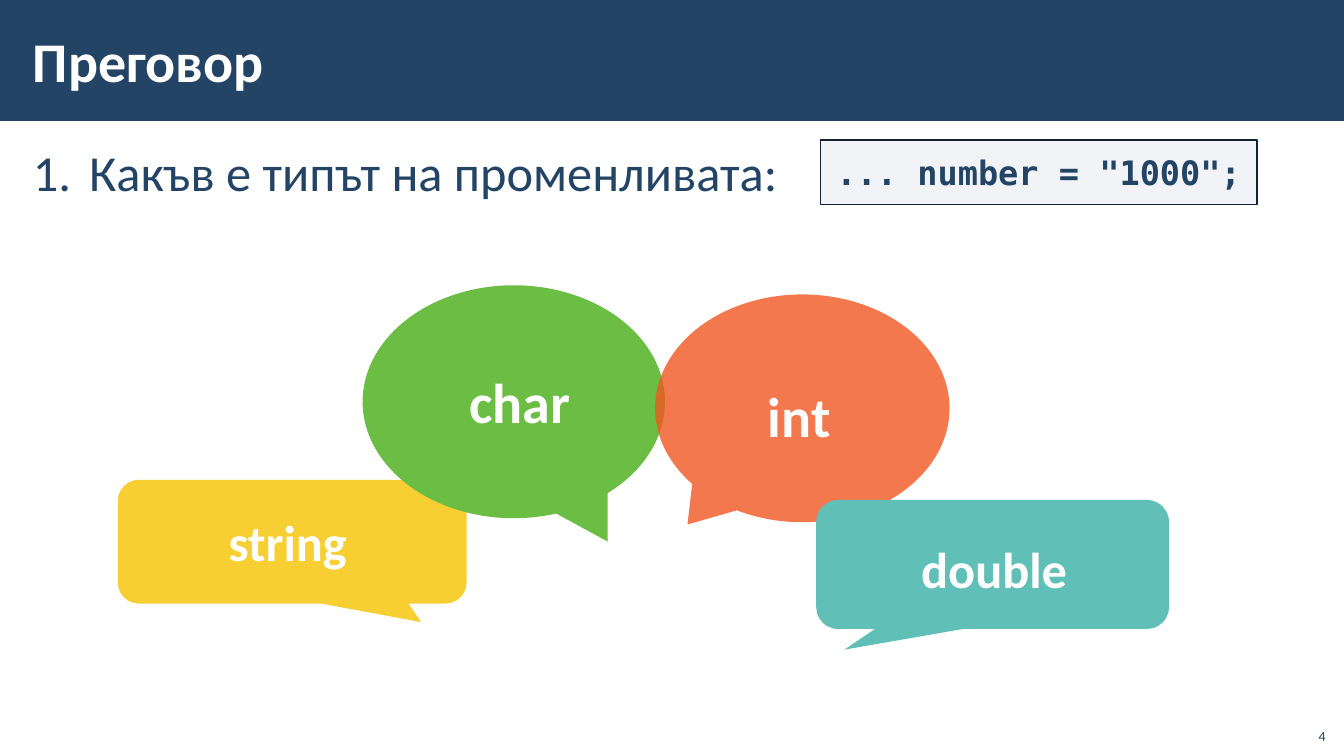
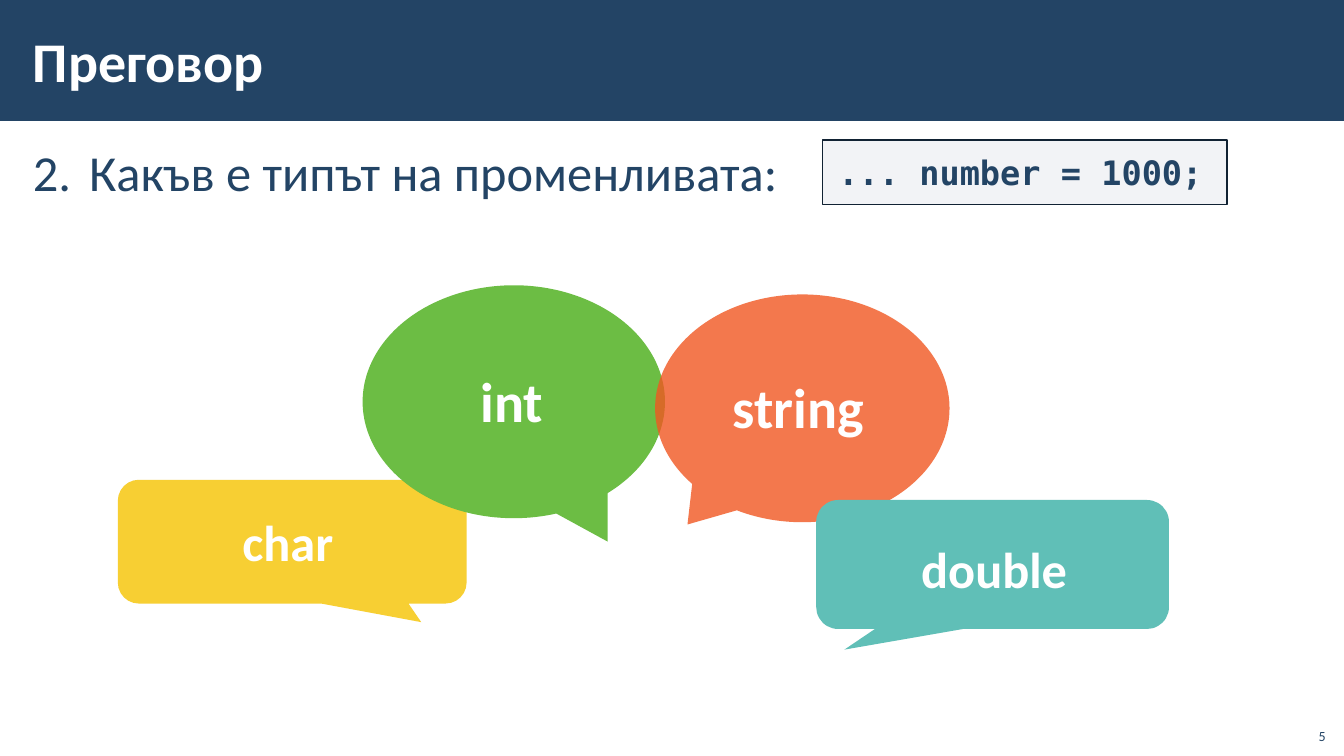
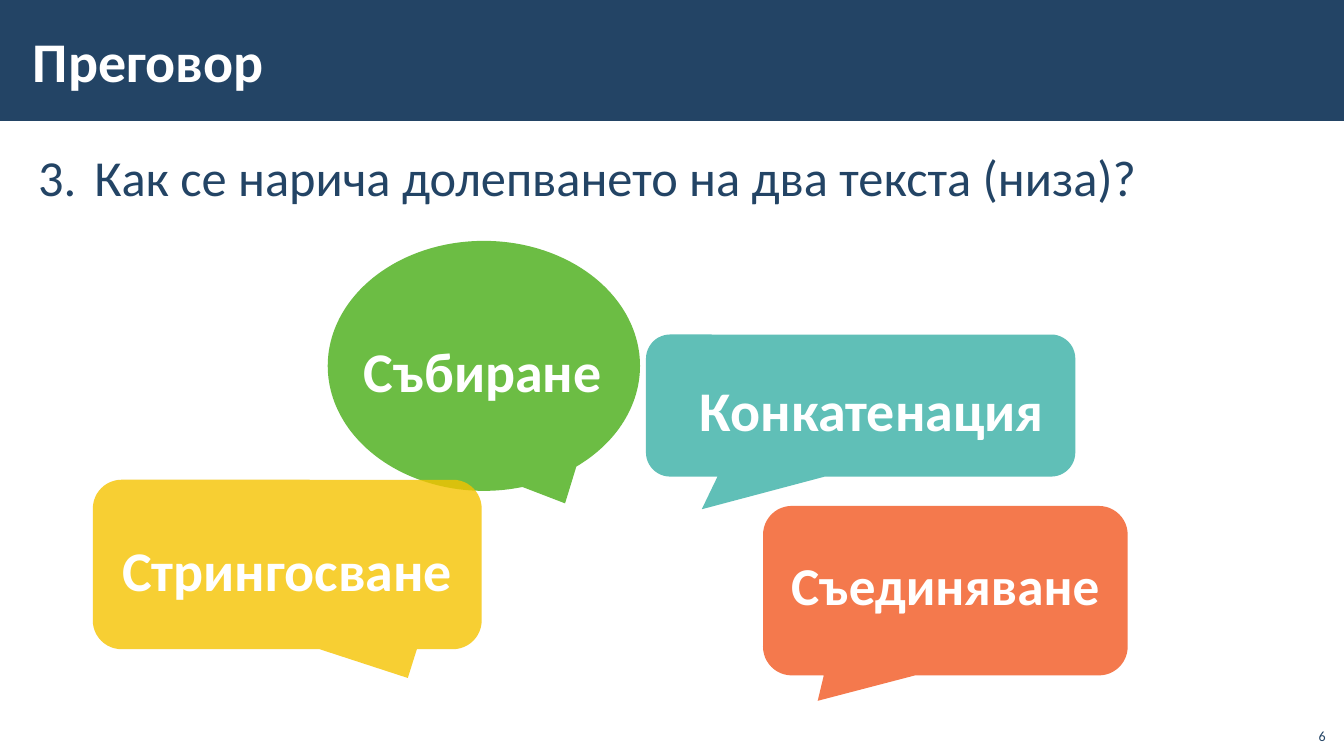
from dataclasses import dataclass

from lxml import etree
from pptx import Presentation
from pptx.dml.color import RGBColor
from pptx.enum import shapes, text
from pptx.oxml import ns
from pptx.util import Cm, Pt


@dataclass(frozen=True)
class Theme:
    navy: str = "234465"
    white: str = "FFFFFF"
    code_fill: str = "ADB4C3"
    code_line: str = "112233"
    yellow: str = "F5C300"
    green: str = "6CBD44"
    orange: str = "F15721"
    coral: str = "F4794D"
    teal: str = "60BFB7"
    font: str = "Calibri"
    code_font: str = "DejaVu Sans Mono"
    big: int = 40
    medium: int = 38
    body: int = 36
    code: int = 24
    footer: int = 10


T = Theme()
RECT = shapes.MSO_SHAPE.RECTANGLE
OVAL = shapes.MSO_SHAPE.OVAL_CALLOUT
ROUND = shapes.MSO_SHAPE.ROUNDED_RECTANGULAR_CALLOUT
LEFT, CENTER, RIGHT = text.PP_ALIGN.LEFT, text.PP_ALIGN.CENTER, text.PP_ALIGN.RIGHT
TOP, MIDDLE, BOTTOM = (text.MSO_ANCHOR.TOP, text.MSO_ANCHOR.MIDDLE,
                       text.MSO_ANCHOR.BOTTOM)


def add_filled(parent, kind, box, color, opacity=100):
    """Add a preset shape without outline; box is in centimetres, opacity in percent."""
    sp = parent.add_shape(kind, *map(Cm, box))
    sp.shadow.inherit = False
    sp.line.fill.background()
    sp.fill.solid()
    sp.fill.fore_color.rgb = RGBColor.from_string(color)
    if opacity < 100:
        clr = sp.element.spPr.find(".//" + ns.qn("a:srgbClr"))
        etree.SubElement(clr, ns.qn("a:alpha")).set("val", str(opacity * 1000))
    return sp


def write(sp, string, size, color, font=T.font, bold=True, align=LEFT,
          anchor=TOP, margins=(0.4, 0.3), spacing=1.0):
    """Put one run into a shape and return its paragraph."""
    tf = sp.text_frame
    tf.word_wrap = True
    tf.vertical_anchor = anchor
    tf.margin_left = tf.margin_right = Cm(margins[0])
    tf.margin_top = tf.margin_bottom = Cm(margins[1])
    p = tf.paragraphs[0]
    p.alignment = align
    p.line_spacing = spacing
    r = p.add_run()
    r.text = string
    r.font.name = font
    r.font.size = Pt(size)
    r.font.bold = bold
    r.font.color.rgb = RGBColor.from_string(color)
    return p


# Callouts from back to front:
# kind, fill, opacity, box, adjustments, label size, label line spacing
type_callouts = [
    (ROUND, T.yellow, 80, (2.97, 12.09, 8.79, 3.12), (0.37, 0.65, 0.17), T.body, 1.1),
    (OVAL, T.green, 100, (9.14, 7.19, 7.62, 5.87), (0.31, 0.6), T.big, 1.0),
    (OVAL, T.orange, 80, (16.51, 7.42, 7.42, 5.74), (-0.39, 0.51), T.big, 1.1),
    (ROUND, T.teal, 100, (20.57, 12.6, 8.89, 3.25), (-0.42, 0.66, 0.17), T.body, 1.1),
]
joining_callouts = [
    (ROUND, T.teal, 100, (16.28, 8.43, 10.82, 3.58), (-0.37, 0.73, 0.17), T.big, 1.1),
    (OVAL, T.green, 100, (8.26, 6.07, 7.87, 6.3), (0.26, 0.55), T.big, 1.0),
    (ROUND, T.yellow, 80, (2.34, 12.09, 9.8, 4.27), (0.31, 0.67, 0.17), T.big, 1.1),
    (ROUND, T.coral, 100, (19.23, 12.75, 9.19, 4.27), (-0.35, 0.65, 0.17), T.medium, 1.0),
]

# Question, its position, code (text, left, width), callouts,
# labels (text, left, top, width)
type_question = "Какъв е типът на променливата:"
questions = [
    (type_question, (0.53, 3.38), ('... number = "1000";', 20.68, 11), type_callouts,
     [("string", 3.89, 12.42, 6.73), ("char", 11.43, 8.97, 4.06),
      ("int", 18.95, 9.14, 4.34), ("double", 21.26, 13.11, 7.59)]),
    (type_question, (0.53, 3.38), ("... number = 1000;", 20.73, 10.19), type_callouts,
     [("char", 3.89, 12.42, 6.73), ("int", 11.71, 8.94, 3.48),
      ("string", 18.06, 8.92, 4.34), ("double", 21.26, 13.11, 7.59)]),
    ("Как се нарича долепването на два текста (низа)?", (0.66, 3.51), None,
     joining_callouts,
     [("Конкатенация", 17.04, 8.99, 9.86), ("Събиране", 8.76, 8.18, 7.01),
      ("Стрингосване", 2.34, 13.03, 9.8), ("Съединяване", 19.23, 13.61, 9.19)]),
]
FIRST_PAGE = 4

prs = Presentation()
prs.slide_width, prs.slide_height = Cm(33.87), Cm(19.05)

for number, (question, position, code, callouts, labels) in enumerate(questions, 1):
    slide = prs.slides.add_slide(prs.slide_layouts[6])
    add_filled(slide.shapes, RECT, (0, 0, 33.87, 3.05), T.navy)

    title = slide.shapes.add_textbox(Cm(0.53), Cm(0.28), Cm(27), Cm(2.46))
    write(title, "Преговор", T.big, T.white, anchor=MIDDLE, margins=(0.3, 0.1))

    body = slide.shapes.add_textbox(*map(Cm, position), Cm(32.79), Cm(2))
    p = write(body, question, T.body, T.navy, bold=False, margins=(0.3, 0.1),
              spacing=1.05)
    pPr = p._p.get_or_add_pPr()
    pPr.set("marL", str(Cm(1.42)))
    pPr.set("indent", str(-Cm(1.42)))
    bullet = etree.SubElement(pPr, ns.qn("a:buAutoNum"))
    bullet.set("type", "arabicPeriod")
    bullet.set("startAt", str(number))

    for callout, (label, left, top, width) in zip(callouts, labels):
        kind, color, opacity, box, adjustments, size, spacing = callout
        group = slide.shapes.add_group_shape().shapes
        sp = add_filled(group, kind, box, color, opacity)
        for i, value in enumerate(adjustments):
            sp.adjustments[i] = value
        caption = group.add_textbox(Cm(left), Cm(top), Cm(width), Cm(2.3))
        write(caption, label, size, T.white, spacing=spacing,
              align=LEFT if kind == OVAL else CENTER)

    if code:
        line, left, width = code
        sp = add_filled(slide.shapes, RECT, (left, 3.53, width, 1.63), T.code_fill, 15)
        sp.line.color.rgb = RGBColor.from_string(T.code_line)
        sp.line.width = Pt(1)
        write(sp, line, T.code, T.navy, font=T.code_font)
        sp.text_frame.margin_right = 0

    page = slide.shapes.add_textbox(Cm(32.64), Cm(18.08), Cm(1.02), Cm(0.81))
    write(page, str(FIRST_PAGE + number - 1), T.footer, T.navy, bold=False,
          align=RIGHT, anchor=BOTTOM, margins=(0.25, 0.13))

prs.save("out.pptx")
